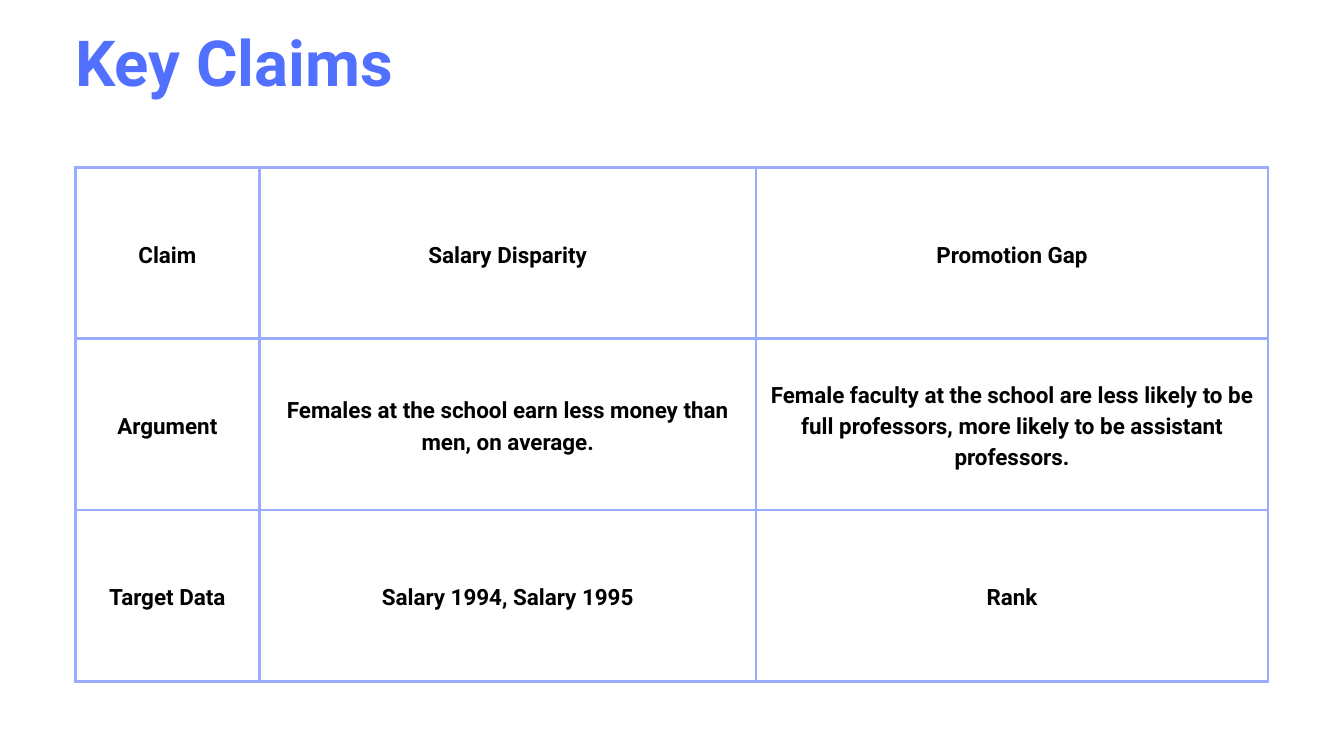
"""Build the Key Claims slide with its bordered table."""
from dataclasses import dataclass

from lxml.etree import SubElement
from pptx import Presentation
from pptx.dml.color import RGBColor
from pptx.enum.text import MSO_ANCHOR, MSO_AUTO_SIZE, PP_ALIGN
from pptx.oxml.ns import qn
from pptx.util import Inches, Pt

BLUE = RGBColor(0x51, 0x70, 0xFF)
PALE = RGBColor(0x99, 0xAC, 0xFF)
BLACK = RGBColor(0, 0, 0)
LEFT, WIDTH = Inches(1.12), Inches(17.75)
COLS = (2.74, 7.39, 7.62)
TALL = 2.55
SIDES = ("margin_left", "margin_top", "margin_right", "margin_bottom")


@dataclass
class Style:
    size: float
    lead: float
    color: RGBColor
    align: PP_ALIGN


@dataclass
class Claim:
    label: str
    pay: str
    rank: str


HEAD = Style(68, 74.8, BLUE, PP_ALIGN.LEFT)
BODY = Style(24, 33.6, BLACK, PP_ALIGN.CENTER)
CLAIMS = (
    Claim("Claim", "Salary Disparity", "Promotion Gap"),
    Claim(
        "Argument",
        "Females at the school earn less money than men, on average.",
        "Female faculty at the school are less likely to be full professors, "
        "more likely to be assistant professors.",
    ),
    Claim("Target Data", "Salary 1994, Salary 1995", "Rank"),
)


def apply(item, values: dict) -> None:
    for name, value in values.items():
        setattr(item, name, value)


def write(frame, text: str, style: Style) -> None:
    frame.text = text
    para = frame.paragraphs[0]
    apply(para, {"alignment": style.align, "line_spacing": Pt(style.lead),
                 "space_before": Pt(0)})
    font = para.runs[0].font
    apply(font, {"name": "Roboto", "size": Pt(style.size), "bold": True})
    font.color.rgb = style.color


def border(cell) -> None:
    props = cell._tc.get_or_add_tcPr()
    for index, side in enumerate(("lnL", "lnR", "lnT", "lnB")):
        line = SubElement(props, qn(f"a:{side}"), w=str(Pt(3)))
        fill = SubElement(line, qn("a:solidFill"))
        SubElement(fill, qn("a:srgbClr"), val=str(PALE))
        props.insert(index, line)


def draw_cell(cell, text: str) -> None:
    write(cell.text_frame, text, BODY)
    apply(cell, dict.fromkeys(SIDES, Inches(0.21)))
    cell.vertical_anchor = MSO_ANCHOR.MIDDLE
    cell.fill.background()
    border(cell)


def draw_title(title) -> None:
    apply(title, {"left": LEFT, "top": Inches(0.44),
                  "width": WIDTH, "height": Inches(1.25)})
    frame = title.text_frame
    apply(frame, dict.fromkeys(SIDES, 0))
    apply(frame, {"word_wrap": True, "auto_size": MSO_AUTO_SIZE.NONE,
                  "vertical_anchor": MSO_ANCHOR.TOP})
    write(frame, "Key Claims", HEAD)


def draw_table(slide) -> None:
    table = slide.shapes.add_table(
        len(CLAIMS), len(COLS), LEFT, Inches(2.49), WIDTH,
        Inches(TALL * len(CLAIMS))).table
    apply(table, {"first_row": False, "horz_banding": False})
    for col, wide in zip(table.columns, COLS):
        col.width = Inches(wide)
    for row, claim in zip(table.rows, CLAIMS):
        row.height = Inches(TALL)
        for cell, text in zip(row.cells, (claim.label, claim.pay, claim.rank)):
            draw_cell(cell, text)


def main() -> None:
    deck = Presentation()
    apply(deck, {"slide_width": Inches(20), "slide_height": Inches(11.25)})
    slide = deck.slides.add_slide(deck.slide_layouts[5])
    draw_table(slide)
    draw_title(slide.shapes.title)
    deck.save("out.pptx")


if __name__ == "__main__":
    main()
